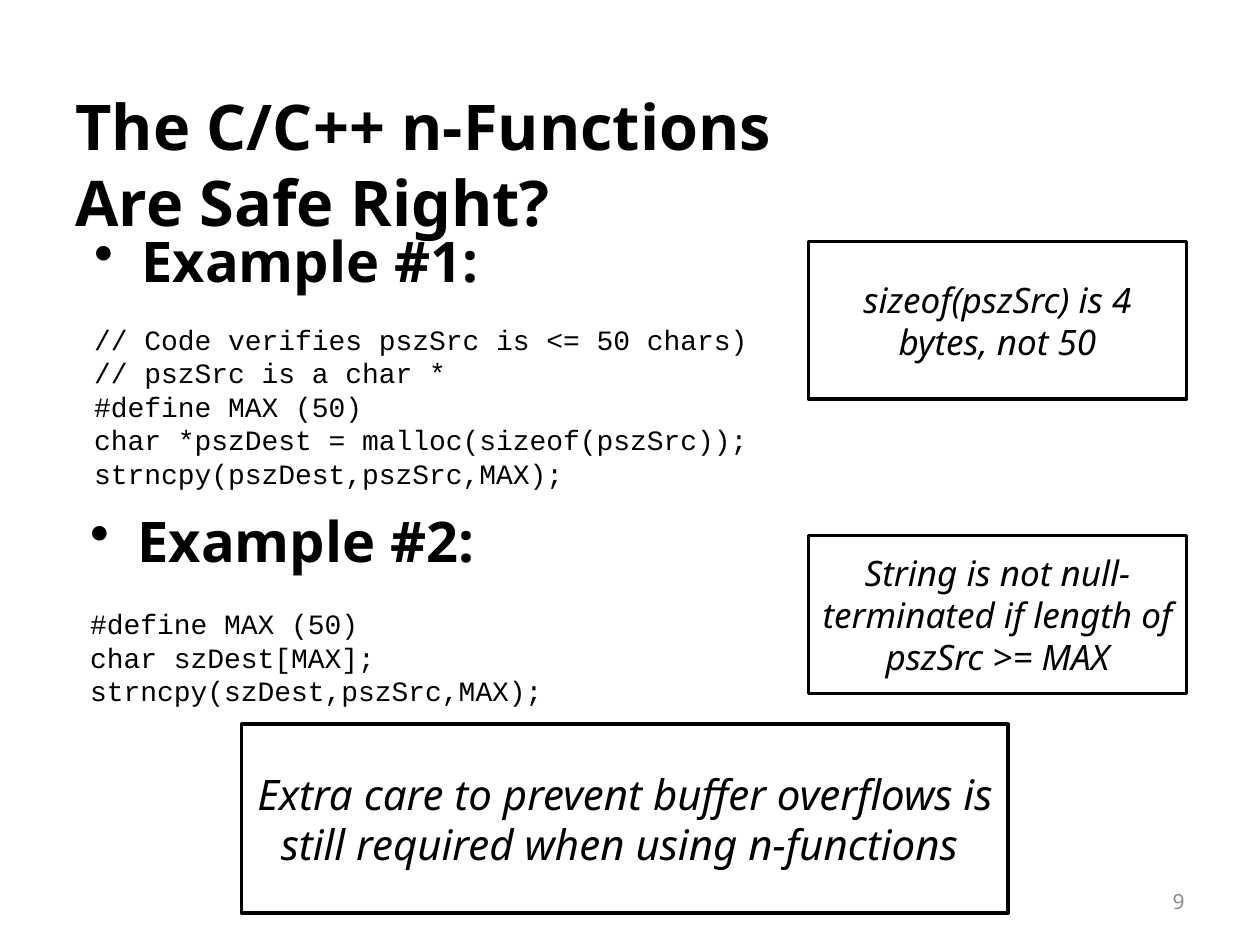
import pptx
import pptx.util
import pptx.dml.color
import pptx.enum.shapes
import pptx.enum.text
import pptx.oxml.ns
from lxml import etree

Cm, Pt = pptx.util.Cm, pptx.util.Pt
ALIGN = pptx.enum.text.PP_ALIGN
ANCHOR = pptx.enum.text.MSO_ANCHOR
BLACK, GREY = "000000", "8C8C8C"


def color(value):
    return pptx.dml.color.RGBColor.from_string(value)


class SlideBuilder:
    heading_font = "Noto Sans"
    code_font = "Courier New"
    leading = 1.2

    def __init__(self, page):
        self.page = page

    def fill_para(self, para, text, size, ink=BLACK, font=None, spacing=None, **style):
        """Fill one paragraph; style holds further font attributes."""
        para.text = text
        if spacing:
            para.line_spacing = Pt(round(size * spacing, 1))
        values = dict(name=font or self.heading_font, size=Pt(size), **style)
        for span in para.runs:
            for name, value in values.items():
                setattr(span.font, name, value)
            span.font.color.rgb = color(ink)

    def text_box(self, left, top, width, height, anchor=ANCHOR.TOP):
        box = self.page.shapes.add_textbox(Cm(left), Cm(top), Cm(width), Cm(height))
        box.text_frame.word_wrap = True
        box.text_frame.vertical_anchor = anchor
        return box.text_frame

    def title(self, text, *place):
        frame = self.text_box(*place, anchor=ANCHOR.MIDDLE)
        self.fill_para(frame.paragraphs[0], text, 36, bold=True, spacing=self.leading)

    def page_number(self, text, *place):
        para = self.text_box(*place, anchor=ANCHOR.MIDDLE).paragraphs[0]
        para.alignment = ALIGN.RIGHT
        self.fill_para(para, text, 12, GREY)

    def example(self, heading, code, gap, *place):
        """A bulleted heading with lines of code below it."""
        frame = self.text_box(*place)
        para = frame.paragraphs[0]
        self.fill_para(para, heading, 32, bold=True)
        para.space_after = Pt(gap)
        settings = para._p.get_or_add_pPr()
        settings.set("marL", str(Cm(0.95)))
        settings.set("indent", str(-Cm(0.95)))
        bullet = etree.SubElement(settings, pptx.oxml.ns.qn("a:buChar"))
        bullet.set("char", "•")
        for line in code:
            self.fill_para(frame.add_paragraph(), line, 16,
                           font=self.code_font, spacing=self.leading)

    def callout(self, text, size, *place):
        box = self.page.shapes.add_shape(
            pptx.enum.shapes.MSO_SHAPE.RECTANGLE, *map(Cm, place))
        box.shadow.inherit = False
        box.fill.background()
        box.line.color.rgb = color(BLACK)
        box.line.width = Pt(2)
        box.text_frame.word_wrap = True
        box.text_frame.vertical_anchor = ANCHOR.MIDDLE
        para = box.text_frame.paragraphs[0]
        para.alignment = ALIGN.CENTER
        self.fill_para(para, text, size, italic=True, spacing=self.leading)


deck = pptx.Presentation()
deck.slide_width, deck.slide_height = Cm(25.4), Cm(19.05)
builder = SlideBuilder(deck.slides.add_slide(deck.slide_layouts[6]))

# Title
builder.title("The C/C++ n-Functions \vAre Safe Right?", 1.27, 2.34, 22.86, 1.9)

# Examples
builder.example("Example #2:", [
    "#define MAX (50)\vchar szDest[MAX];",
    "strncpy(szDest,pszSrc,MAX);",
], 19, 1.57, 10.08, 22.86, 6.35)
builder.example("Example #1:", [
    "// Code verifies pszSrc is <= 50 chars)",
    "// pszSrc is a char *",
    "#define MAX (50)",
    "char *pszDest = malloc(sizeof(pszSrc));",
    "strncpy(pszDest,pszSrc,MAX);",
], 16, 1.65, 4.45, 22.86, 6.35)

# Page number
builder.page_number("9", 18.21, 17.65, 5.92, 1.02)

# Callouts: the conclusion, then one remark beside each example
builder.callout("Extra care to prevent buffer overflows is still required "
                "when using n-functions ", 24, 4.87, 14.6, 15.45, 3.81)
for top, remark in [
    (4.87, "sizeof(pszSrc) is 4 bytes, not 50"),
    (10.8, "String is not null-terminated if length of pszSrc >= MAX"),
]:
    builder.callout(remark, 20, 16.3, top, 7.62, 3.18)

deck.save("out.pptx")
